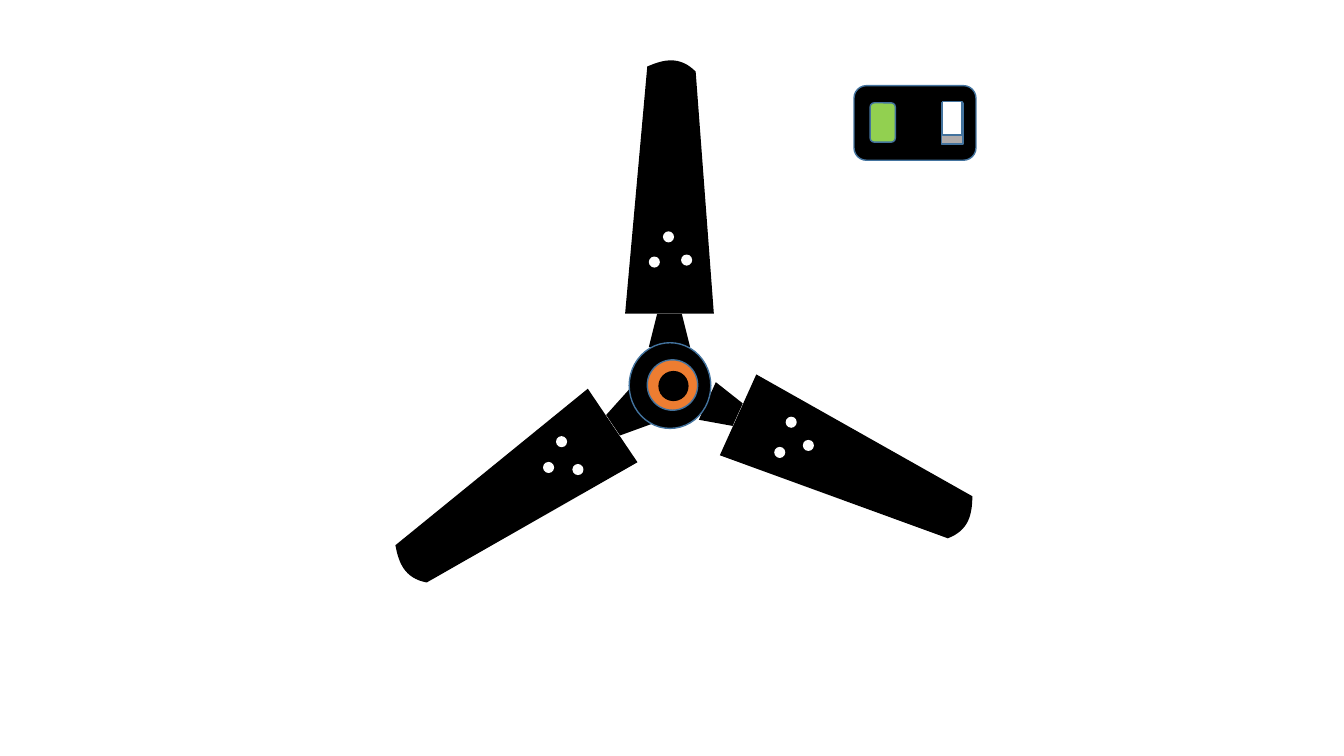
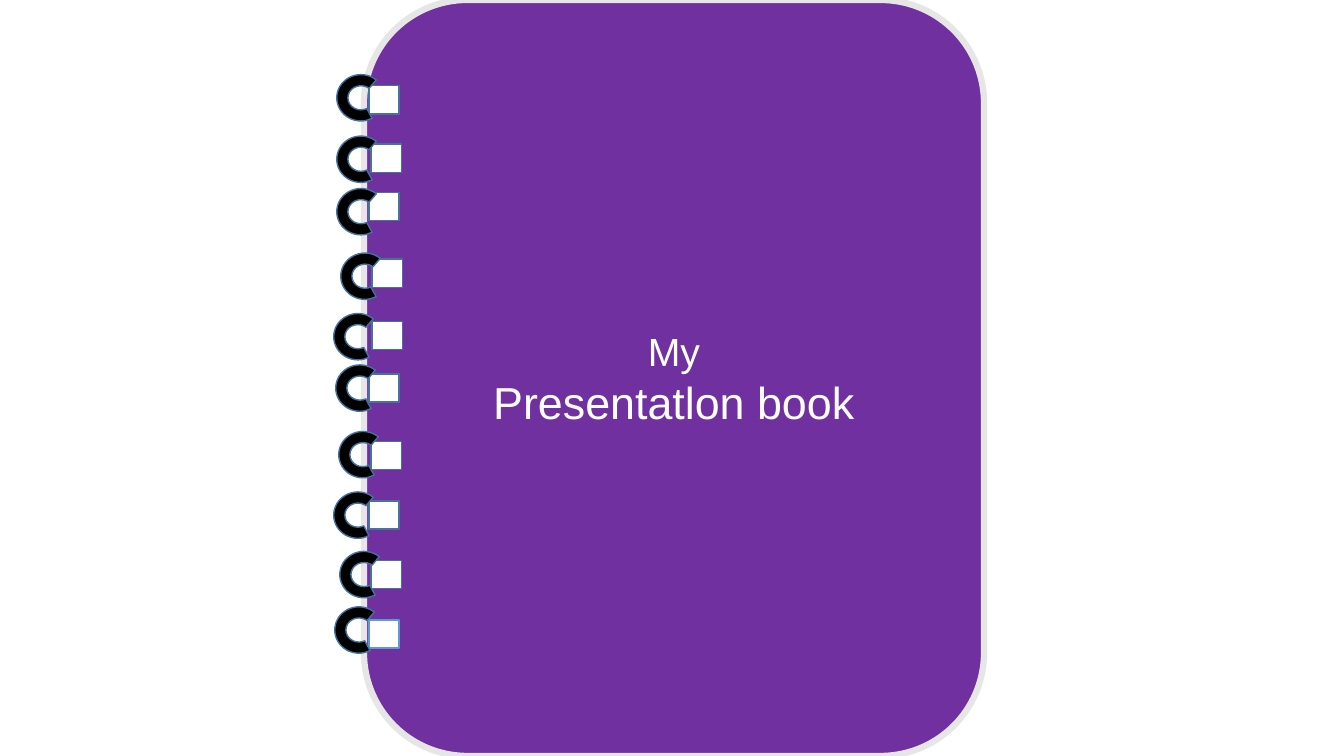
"""Build two drawn slides: a ceiling fan with its switch, and a spiral-bound book cover."""
import math

import pptx
import pptx.util
from pptx.dml.color import RGBColor
from pptx.enum.shapes import MSO_SHAPE
from pptx.enum.text import MSO_ANCHOR, PP_ALIGN

BLACK = RGBColor(0x00, 0x00, 0x00)
WHITE = RGBColor(0xFF, 0xFF, 0xFF)
ORANGE = RGBColor(0xED, 0x7D, 0x31)
GREEN = RGBColor(0x92, 0xD0, 0x50)
GREY = RGBColor(0xAF, 0xAB, 0xAB)
PURPLE = RGBColor(0x70, 0x30, 0xA0)
PALE = RGBColor(0xE7, 0xE6, 0xE6)
OUTLINE = RGBColor(0x43, 0x73, 0x9E)
BRIGHT_BLUE = RGBColor(0x5B, 0x9B, 0xD5)
FONT = "Arial"

SLIDE_W, SLIDE_H = 13.33, 7.5

# Blade parts are measured from the blade's centre, with the hub below it.
BLADES = [
    {"centre": (6.64, 1.86), "angle": 0, "flip": 1},
    {"centre": (5.04, 4.92), "angle": 56, "flip": -1},
    {"centre": (8.46, 4.63), "angle": 114.3, "flip": 1},
]
BLADE_BASE = [(0.44, 1.25), (-0.44, 1.25)]
BLADE_TIP = [(-0.22, -1.2), (-0.06, -1.27), (0.1, -1.31), (0.26, -1.15)]
TIP_STEPS = 16
SCREWS = [(-0.01, 0.49), (0.17, 0.72), (-0.15, 0.74)]
SCREW_SIZE = 0.11
ARM_CENTRE, ARM_SIZE = (0, 1.42), (0.41, 0.33)

HUB = [
    (6.24, 3.4, 0.81, 0.85, BLACK, OUTLINE),
    (6.42, 3.57, 0.5, 0.5, ORANGE, OUTLINE),
    (6.53, 3.68, 0.3, 0.3, BLACK, None),
]
SWITCH = [
    (MSO_SHAPE.ROUNDED_RECTANGLE, 8.47, 0.85, 1.21, 0.74, BLACK),
    (MSO_SHAPE.ROUNDED_RECTANGLE, 8.63, 1.02, 0.25, 0.39, GREEN),
    (MSO_SHAPE.RECTANGLE, 9.34, 1.02, 0.21, 0.41, GREY),
    (MSO_SHAPE.RECTANGLE, 9.35, 1.01, 0.19, 0.33, WHITE),
]

COVER = (3.61, 0, 6.15, SLIDE_H)
COVER_TEXT = [("My", 28), ("Presentatlon book", 32)]
HOLE_SIZE, RING_SIZE = (0.3, 0.28), (0.46, 0.48)
RING_ARC = (90.87, 24.38, 0.24)
HOLES = [(3.66, 0.85), (3.68, 1.43), (3.66, 1.91), (3.69, 2.57), (3.69, 3.19),
         (3.66, 3.71), (3.68, 4.38), (3.66, 4.97), (3.68, 5.56), (3.66, 6.15)]
RINGS = [(3.35, 0.73), (3.35, 1.34), (3.35, 1.86), (3.39, 2.5), (3.32, 3.1),
         (3.34, 3.61), (3.37, 4.27), (3.32, 4.87), (3.38, 5.46), (3.33, 6.01)]


def paint(shape, fill, line=None, weight=1):
    shape.shadow.inherit = False
    shape.fill.solid()
    shape.fill.fore_color.rgb = fill
    if line is None:
        shape.line.fill.background()
    else:
        shape.line.color.rgb = line
        shape.line.width = pptx.util.Pt(weight)


def add_part(shapes, preset, left, top, width, height, fill, line=None, weight=1):
    part = shapes.add_shape(preset, *map(pptx.util.Inches, (left, top, width, height)))
    paint(part, fill, line, weight)
    return part


def add_centred(shapes, preset, centre, size, fill):
    (x, y), (width, height) = centre, size
    return add_part(shapes, preset, x - width / 2, y - height / 2, width, height, fill)


def bezier(controls, t):
    weights = [math.comb(3, i) * t**i * (1 - t)**(3 - i) for i in range(4)]
    return tuple(sum(w * point[axis] for w, point in zip(weights, controls))
                 for axis in (0, 1))


def add_blade(shapes, blade):
    turn = math.radians(blade["angle"])

    def place(point):
        x, y = point[0], point[1] * blade["flip"]
        return (blade["centre"][0] + x * math.cos(turn) - y * math.sin(turn),
                blade["centre"][1] + x * math.sin(turn) + y * math.cos(turn))

    tip = [bezier(BLADE_TIP, step / TIP_STEPS) for step in range(TIP_STEPS + 1)]
    edge = [tuple(map(pptx.util.Inches, place(point))) for point in tip + BLADE_BASE]
    builder = shapes.build_freeform(*edge[0])
    builder.add_line_segments(edge[1:], close=True)
    paint(builder.convert_to_shape(), BLACK)

    arm = add_centred(shapes, MSO_SHAPE.TRAPEZOID, place(ARM_CENTRE), ARM_SIZE, BLACK)
    arm.rotation = blade["angle"] + (180 if blade["flip"] < 0 else 0)
    for screw in SCREWS:
        add_centred(shapes, MSO_SHAPE.OVAL, place(screw), (SCREW_SIZE, SCREW_SIZE), WHITE)


def build_fan(slide):
    fan = slide.shapes.add_group_shape().shapes
    for blade in BLADES:
        add_blade(fan, blade)
    for disc in HUB:
        add_part(fan, MSO_SHAPE.OVAL, *disc)
    for piece in SWITCH:
        add_part(slide.shapes, *piece, OUTLINE)


def build_book(slide):
    cover = add_part(slide.shapes, MSO_SHAPE.ROUNDED_RECTANGLE, *COVER, PURPLE, PALE, 4.5)
    frame = cover.text_frame
    frame.word_wrap = True
    frame.vertical_anchor = MSO_ANCHOR.MIDDLE
    for index, (words, size) in enumerate(COVER_TEXT):
        paragraph = frame.add_paragraph() if index else frame.paragraphs[0]
        paragraph.alignment = PP_ALIGN.CENTER
        run = paragraph.add_run()
        run.text = words
        run.font.name = FONT
        run.font.size = pptx.util.Pt(size)
        run.font.color.rgb = WHITE

    binding = slide.shapes.add_group_shape().shapes
    for hole in HOLES:
        edge = BRIGHT_BLUE if hole == HOLES[-1] else OUTLINE
        add_part(binding, MSO_SHAPE.RECTANGLE, *hole, *HOLE_SIZE, WHITE, edge)
    for place in RINGS:
        ring = add_part(binding, MSO_SHAPE.BLOCK_ARC, *place, *RING_SIZE, BLACK, OUTLINE)
        ring.rotation = 270
        for index, value in enumerate(RING_ARC):
            ring.adjustments[index] = value


def main():
    deck = pptx.Presentation()
    deck.slide_width = pptx.util.Inches(SLIDE_W)
    deck.slide_height = pptx.util.Inches(SLIDE_H)
    for build in (build_fan, build_book):
        build(deck.slides.add_slide(deck.slide_layouts[6]))
    deck.save("out.pptx")


if __name__ == "__main__":
    main()
